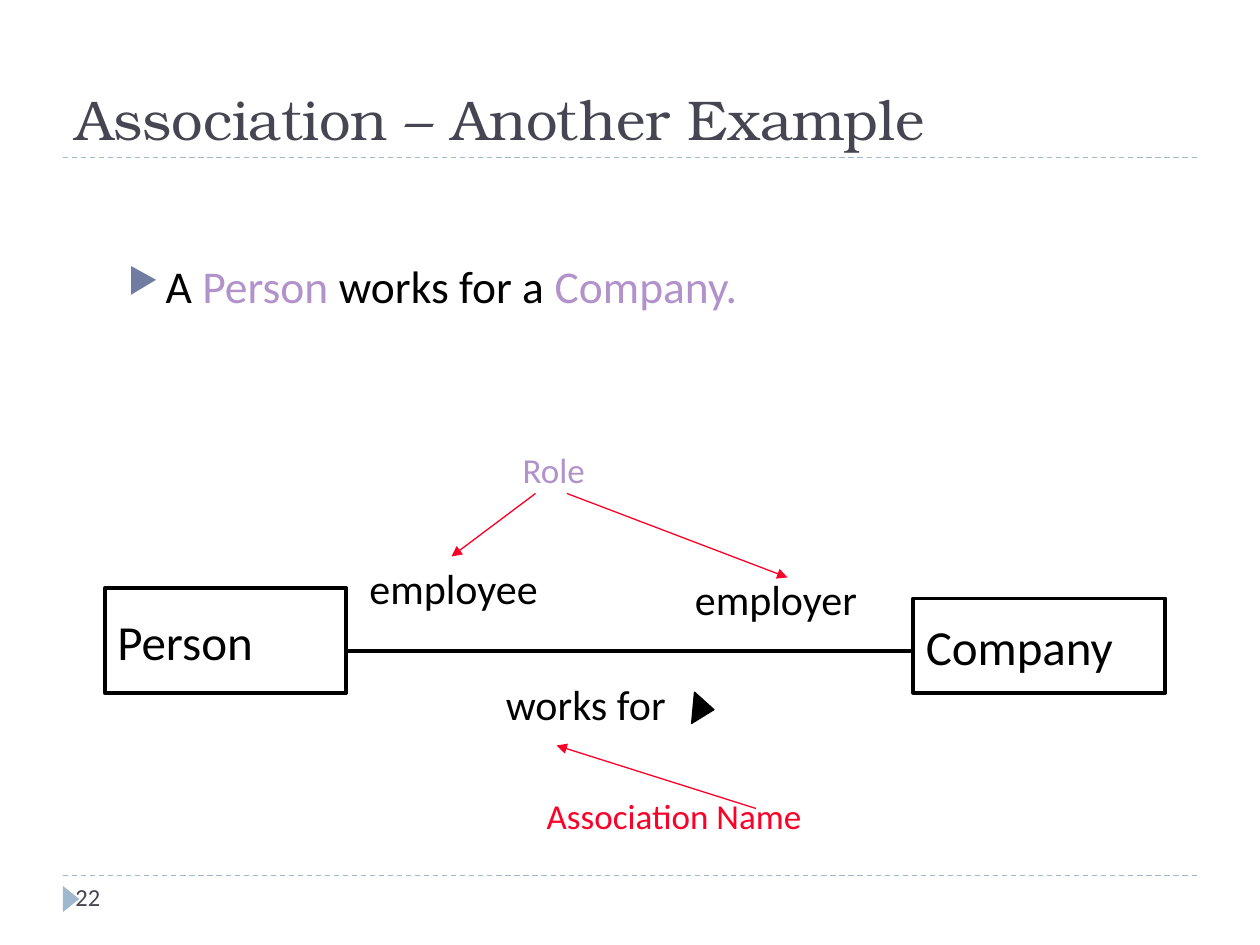
from lxml import etree
from pptx import Presentation
from pptx.dml.color import RGBColor
from pptx.enum.dml import MSO_LINE
from pptx.enum.shapes import MSO_CONNECTOR, MSO_SHAPE
from pptx.enum.text import MSO_ANCHOR, PP_ALIGN
from pptx.oxml.ns import qn
from pptx.util import Pt

RECTANGLE = MSO_SHAPE.RECTANGLE
TRIANGLE = MSO_SHAPE.ISOSCELES_TRIANGLE
STRAIGHT = MSO_CONNECTOR.STRAIGHT
DASH = MSO_LINE.DASH
TOP, MIDDLE, BOTTOM = MSO_ANCHOR.TOP, MSO_ANCHOR.MIDDLE, MSO_ANCHOR.BOTTOM
LEFT = PP_ALIGN.LEFT

BODY_FONT, TITLE_FONT = "Calibri", "TeX Gyre Bonum"
BLACK, WHITE, SLATE = "000000", "FFFFFF", "464653"
BLUE, INDIGO, LILAC, RED = "9FB8CD", "727CA3", "B292CA", "FC0128"

TITLE = "Association – Another Example"
PAGE_NUMBER = "22"
SENTENCE = [("A ", BLACK), ("Person ", LILAC), ("works for a ", BLACK), ("Company.", LILAC)]
CLASSES = [
    ("Person", (60, 336, 138, 60)),
    ("Company", (522, 342, 144, 54)),
]
END_LABELS = [
    ("employee", (204, 318, 119, 38)),
    ("employer", (390, 324, 114.5, 38)),
    ("works for", (282, 384, 116, 38)),
]
NOTES = [
    ("Association Name", RED, (305.3, 450.7, 170, 31)),
    ("Role", LILAC, (291.6, 252.7, 52.6, 31)),
]
ARROWS = [
    ((432, 462), (318, 426)),
    ((306, 282), (258, 318)),
    ((324, 282), (450, 330)),
]
RULE_HEIGHTS = [500.4, 90]
RULE_LEFT, RULE_RIGHT = 36, 684
ASSOCIATION_Y = 372


def color(value):
    return RGBColor.from_string(value)


def points(values):
    return [Pt(value) for value in values]


def write(box, spans, size, font=BODY_FONT, anchor=TOP):
    frame = box.text_frame
    frame.word_wrap = True
    frame.vertical_anchor = anchor
    paragraph = frame.paragraphs[0]
    paragraph.alignment = LEFT
    for text, tint in spans:
        span = paragraph.add_run()
        span.text = text
        span.font.name = font
        span.font.size = Pt(size)
        span.font.color.rgb = color(tint)
    return paragraph


def add_text(page, place, spans, size, **options):
    box = page.shapes.add_textbox(*points(place))
    return write(box, spans, size, **options)


def add_shape(page, kind, place, fill=None, line=None, width=2.25, rotation=0):
    shape = page.shapes.add_shape(kind, *points(place))
    shape.shadow.inherit = False
    shape.rotation = rotation
    if fill:
        shape.fill.solid()
        shape.fill.fore_color.rgb = color(fill)
    else:
        shape.fill.background()
    if line:
        shape.line.color.rgb = color(line)
        shape.line.width = Pt(width)
    else:
        shape.line.fill.background()
    return shape


def add_line(page, start, end, tint, width=0.75, dashed=False, arrow=False):
    line = page.shapes.add_connector(STRAIGHT, *points(start + end))
    line.line.color.rgb = color(tint)
    line.line.width = Pt(width)
    if dashed:
        line.line.dash_style = DASH
    if arrow:
        outline = line.line._get_or_add_ln()
        etree.SubElement(outline, qn("a:tailEnd"), type="triangle")
    etree.SubElement(line._element.spPr, qn("a:effectLst"))


def add_bullet(paragraph, indent):
    properties = paragraph._p.get_or_add_pPr()
    properties.set("marL", str(Pt(indent)))
    properties.set("indent", str(Pt(-indent)))
    tint = etree.SubElement(properties, qn("a:buClr"))
    etree.SubElement(tint, qn("a:srgbClr"), val=INDIGO)
    etree.SubElement(properties, qn("a:buSzPct"), val="76000")
    etree.SubElement(properties, qn("a:buChar"), char="▶")


def main():
    deck = Presentation()
    deck.slide_width, deck.slide_height = Pt(720), Pt(540)
    page = deck.slides.add_slide(deck.slide_layouts[6])

    for height in RULE_HEIGHTS:
        add_line(page, (RULE_LEFT, height), (RULE_RIGHT, height), BLUE, dashed=True)
    add_shape(page, TRIANGLE, (33.1, 509, 15, 9.4), fill=BLUE, rotation=90)
    add_text(page, (36, 500.4, 168, 28.8), [(PAGE_NUMBER, SLATE)], 14)
    add_text(page, (36, 12, 648, 78), [(TITLE, SLATE)], 32, font=TITLE_FONT, anchor=BOTTOM)
    sentence = add_text(page, (66, 144, 636, 351), SENTENCE, 26)
    add_bullet(sentence, 21.6)

    for name, place in CLASSES:
        box = add_shape(page, RECTANGLE, place, fill=WHITE, line=BLACK)
        write(box, [(name, BLACK)], 28, anchor=MIDDLE)
    add_line(page, (198, ASSOCIATION_Y), (522, ASSOCIATION_Y), BLACK, width=2.25)
    for label, place in END_LABELS:
        box = add_shape(page, RECTANGLE, place, line=WHITE)
        write(box, [(label, BLACK)], 24)
    add_shape(page, TRIANGLE, (393, 399, 18, 12), fill=BLACK, line=BLACK, width=0.75, rotation=95.3)

    for note, tint, place in NOTES:
        add_text(page, place, [(note, tint)], 20)
    for start, end in ARROWS:
        add_line(page, start, end, RED, arrow=True)

    deck.save("out.pptx")


if __name__ == "__main__":
    main()
